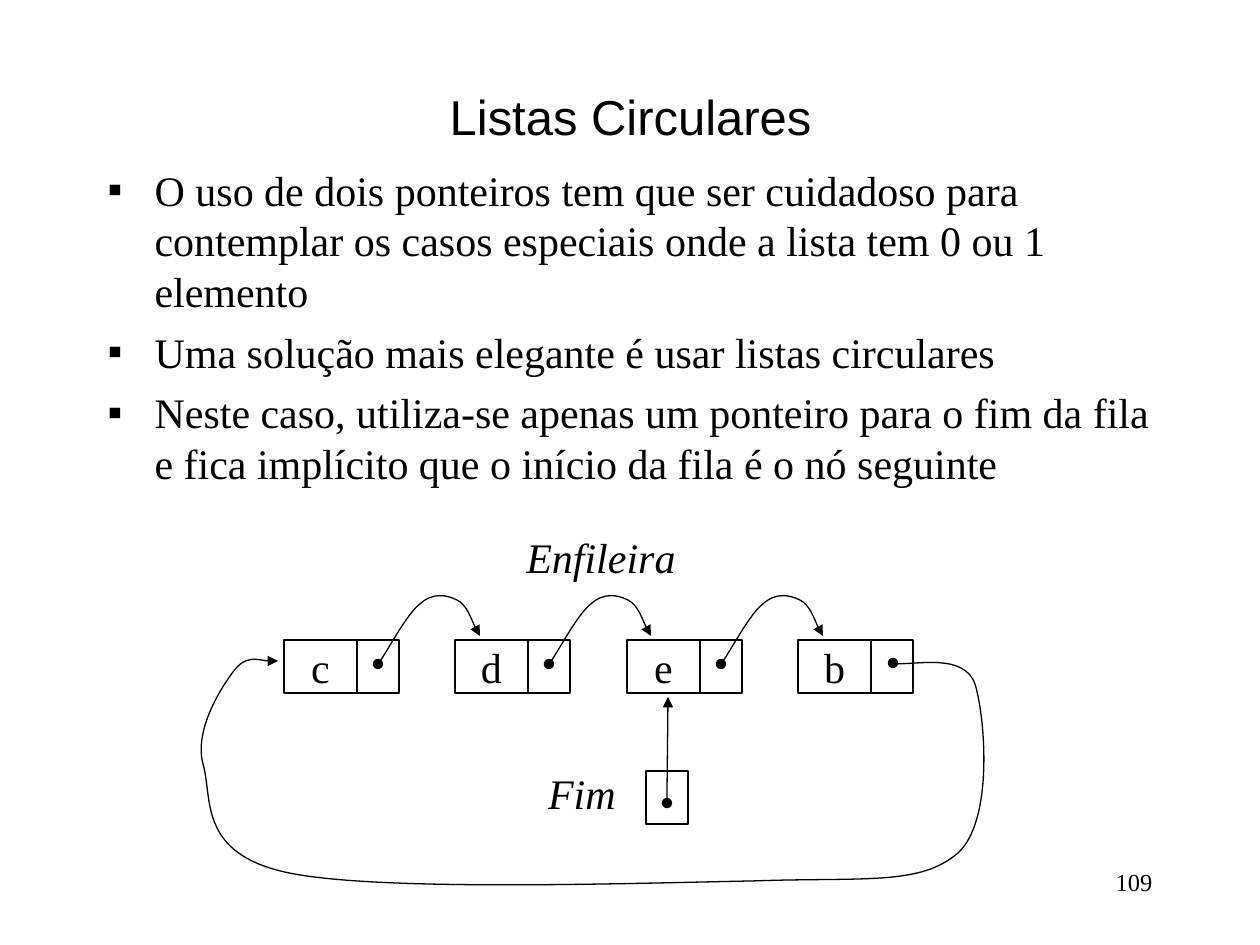
import pptx
import pptx.dml.color
import pptx.enum.shapes
import pptx.enum.text
import pptx.oxml
import pptx.util

EMU_PER_PX = 914400 / 126
SERIF = "Times New Roman"
BLACK = "000000"
ALIGN = pptx.enum.text.PP_ALIGN
ANCHOR = pptx.enum.text.MSO_ANCHOR
FIT = pptx.enum.text.MSO_AUTO_SIZE
NS = 'xmlns:a="http://schemas.openxmlformats.org/drawingml/2006/main"'
rgb = pptx.dml.color.RGBColor.from_string


def px(*values):
    return [pptx.util.Emu(round(v * EMU_PER_PX)) for v in values]


def write(p, text, font=SERIF, size=24, color=BLACK, italic=False, align=ALIGN.CENTER):
    p.alignment = align
    r = p.add_run()
    r.text = text
    r.font.name = font
    r.font.size = pptx.util.Pt(size)
    r.font.italic = italic
    r.font.color.rgb = rgb(color)


prs = pptx.Presentation()
prs.slide_width, prs.slide_height = px(1260, 945)
s = prs.slides.add_slide(prs.slide_layouts[1])

# Title
title = s.shapes.title
title.left, title.top, title.width, title.height = px(95, 84, 1071, 63)
title.text_frame.vertical_anchor = ANCHOR.MIDDLE
write(title.text_frame.paragraphs[0], "Listas Circulares", font="Arial", size=28)

# Bullet list
body = s.placeholders[1]
body.left, body.top, body.width, body.height = px(95, 158, 1071, 683)
tf = body.text_frame
tf.auto_size = FIT.NONE
bullets = [
    "O uso de dois ponteiros tem que ser cuidadoso para contemplar os casos "
    "especiais onde a lista tem 0 ou 1 elemento",
    "Uma solução mais elegante é usar listas circulares",
    "Neste caso, utiliza-se apenas um ponteiro para o fim da fila e fica "
    "implícito que o início da fila é o nó seguinte",
]
for i, text in enumerate(bullets):
    p = tf.add_paragraph() if i else tf.paragraphs[0]
    pPr = p._p.get_or_add_pPr()
    indent = px(47)[0]
    pPr.set("marL", str(indent))
    pPr.set("indent", str(-indent))
    pPr.append(pptx.oxml.parse_xml(f'<a:buChar {NS} char="▪"/>'))
    p.space_before = pptx.util.Pt(6 if i else 0)
    write(p, text, align=ALIGN.LEFT)

# Queue nodes: a value cell and a link cell each, plus the end pointer
node_xs = [284 + round(i * 171.33) for i in range(4)]
cells = [(646, 771, 42, "")]
for x, letter in zip(node_xs, "cdeb"):
    cells += [(x, 640, 73, letter), (x + 73, 640, 42, "")]
for x, y, w, letter in cells:
    sp = s.shapes.add_shape(pptx.enum.shapes.MSO_SHAPE.RECTANGLE, *px(x, y, w, 53))
    sp.shadow.inherit = False
    sp.fill.background()
    sp.line.color.rgb = rgb(BLACK)
    sp.line.width = pptx.util.Pt(0.75)
    if letter:
        sp.text_frame.word_wrap = False
        sp.text_frame.vertical_anchor = ANCHOR.MIDDLE
        write(sp.text_frame.paragraphs[0], letter)

# Links: a start point, then three Bezier points per segment
hop = [(94, 664), (102, 654), (123, 614), (136, 604), (149, 592), (163, 595),
       (173, 600), (183, 605), (191, 629), (196, 636)]
links = [[(x + dx, y) for dx, y in hop] for x in node_xs[:3]]
links.append([(667, 803), (667, 785), (668, 718), (668, 697)])
links.append([
    (893, 663), (907, 667), (964, 653), (975, 684), (985, 716), (994, 820),
    (958, 853), (920, 886), (864, 877), (752, 881), (641, 883), (381, 892),
    (289, 873), (197, 854), (213, 798), (203, 764), (194, 730), (221, 688),
    (233, 672), (246, 654), (268, 663), (278, 661)])
for points in links:
    builder = s.shapes.build_freeform(*points[0], scale=EMU_PER_PX)
    builder.add_line_segments(points[1:], close=False)
    sp = builder.convert_to_shape()
    sp.shadow.inherit = False
    sp.fill.background()
    sp.line.color.rgb = rgb(BLACK)
    sp.line.width = pptx.util.Pt(0.75)
    # Turn every three straight segments into one curve
    outline = sp._element.xpath(".//a:path")[0]
    segments = outline.xpath("a:lnTo")
    for i in range(0, len(segments), 3):
        curve = pptx.oxml.parse_xml(f"<a:cubicBezTo {NS}/>")
        for segment in segments[i:i + 3]:
            curve.append(segment[0])
            outline.remove(segment)
        outline.append(curve)
    ln = sp.line._get_or_add_ln()
    ln.append(pptx.oxml.parse_xml(f'<a:headEnd {NS} type="oval"/>'))
    ln.append(pptx.oxml.parse_xml(f'<a:tailEnd {NS} type="triangle"/>'))

# Diagram labels and page number
labels = [
    ("Enfileira", (508, 525, 180, 63), False, dict(italic=True, align=ALIGN.RIGHT)),
    ("Fim", (532, 761, 100, 63), False, dict(italic=True)),
    ("109", (903, 861, 262, 63), True, dict(size=14, align=ALIGN.RIGHT)),
]
for text, box, wrap, fmt in labels:
    tf = s.shapes.add_textbox(*px(*box)).text_frame
    tf.word_wrap = wrap
    tf.auto_size = FIT.NONE if wrap else FIT.SHAPE_TO_FIT_TEXT
    write(tf.paragraphs[0], text, **fmt)

prs.save("out.pptx")
